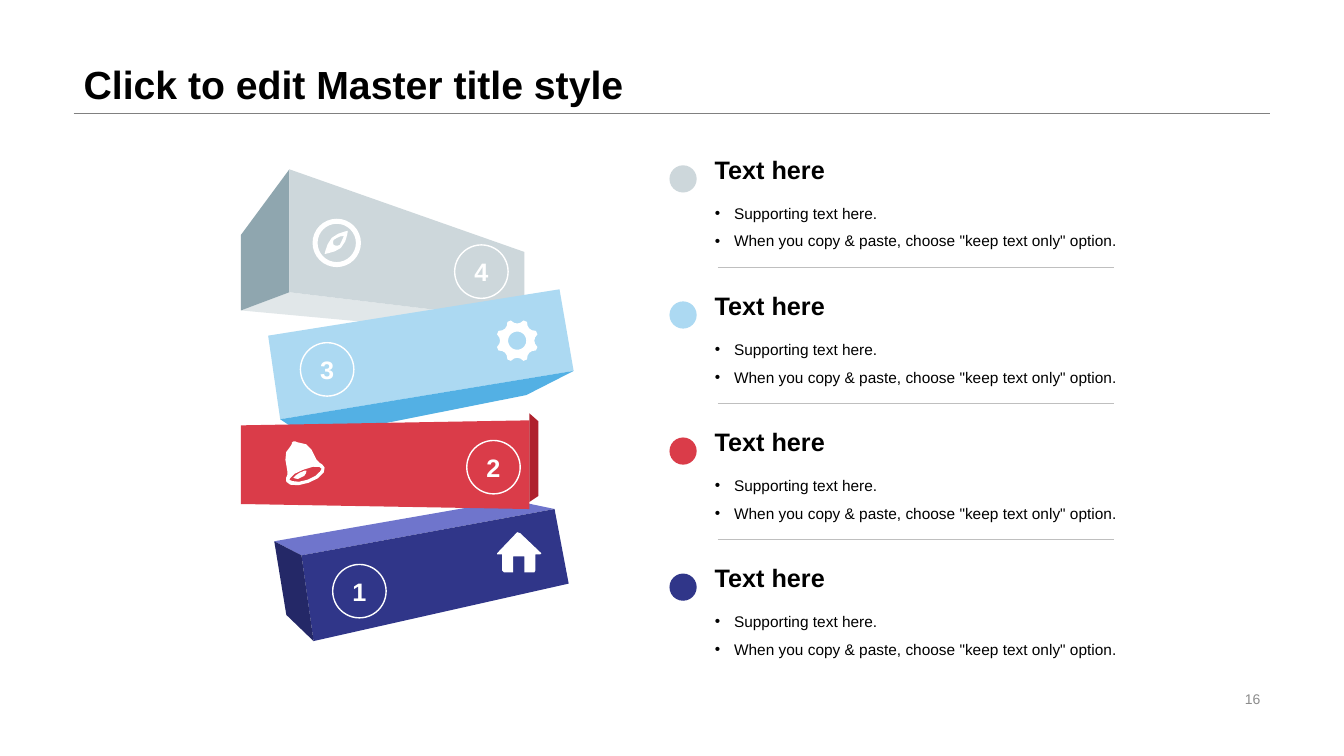
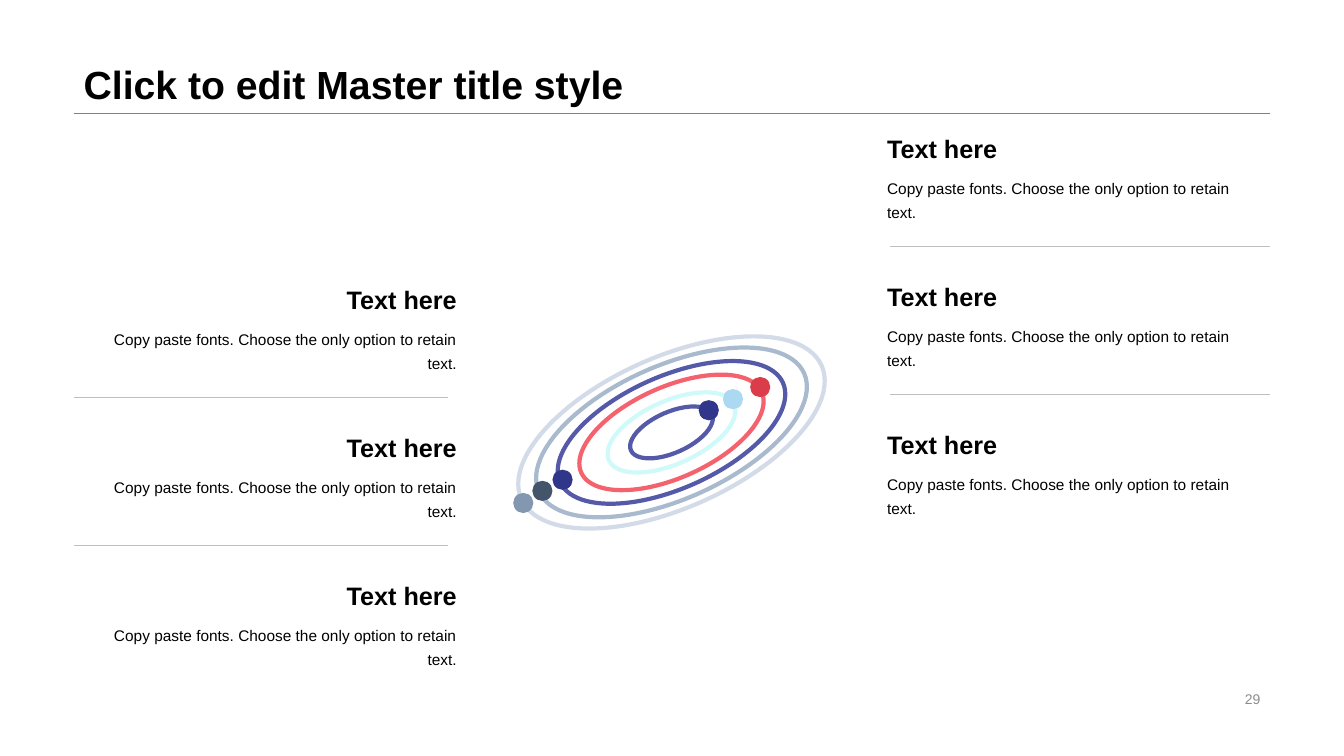
import math
from dataclasses import dataclass

import pptx
import pptx.dml.color
import pptx.enum.shapes
import pptx.enum.text
import pptx.oxml.ns
import pptx.util
from lxml import etree

PX = 9144  # EMU in one px: 100 px to the inch
FONT = "Arial"
BLACK, WHITE = "000000", "FFFFFF"
GREY, RULE, TITLE_RULE = "8C8C8C", "BFBFBF", "808080"
SILVER, SKY, RED, NAVY = "CDD7DB", "ACD9F2", "DA3C49", "303689"
SLATE, STEEL = "44546A", "8497B0"
LEFT_EDGE, RIGHT_EDGE, TITLE_BOTTOM = 73, 1260, 112

ALIGN = pptx.enum.text.PP_ALIGN
ANCHOR = pptx.enum.text.MSO_ANCHOR
Points = list[tuple[float, float]]


@dataclass(frozen=True)
class Face:
    color: str
    points: Points


@dataclass(frozen=True)
class Badge:
    label: str
    x: int
    y: int


@dataclass(frozen=True)
class Dot:
    color: str
    x: int
    y: int


@dataclass(frozen=True)
class Ring:
    color: str
    radius: int


@dataclass(frozen=True)
class Column:
    x: int
    y: int
    rule_from: int
    rule_to: int
    align: ALIGN


# Stacked blocks, back to front
FACES = [
    Face("E1E7E9", [(239, 308), (287, 290), (520, 318), (477, 330)]),
    Face("8FA6AF", [(287, 290), (287, 168), (239, 233), (239, 308)]),
    Face(SILVER, [(287, 168), (520, 250), (520, 318), (287, 290)]),
    Face("6F75CC", [(550, 505), (299, 551), (272, 537), (507, 496)]),
    Face(NAVY, [(299, 551), (311, 636), (564, 579), (550, 505)]),
    Face("242867", [(272, 537), (299, 551), (311, 636), (284, 610)]),
    Face(SKY, [(555, 287), (266, 333), (278, 416), (569, 368)]),
    Face("53B0E4", [(569, 368), (278, 416), (306, 435), (522, 392)]),
    Face(RED, [(239, 422), (525, 417), (525, 505), (239, 500)]),
    Face("AF212D", [(525, 410), (534, 418), (534, 492), (525, 498)]),
]
BADGES = [Badge("4", 451, 243), Badge("3", 298, 340),
          Badge("2", 463, 437), Badge("1", 330, 560)]

# Icon outlines: a start point followed by cubic control points
NEEDLE = [(322, 252), (322, 252), (334, 250), (338, 246), (344, 241), (345, 229),
          (345, 229), (345, 229), (334, 231), (329, 236), (324, 241), (322, 252),
          (322, 252)]
NEEDLE_HOLE = [(331, 238), (334, 236), (337, 234), (341, 234), (340, 237),
               (338, 241), (337, 243), (335, 244), (333, 244), (331, 243),
               (330, 241), (330, 240), (331, 238)]
BELL = [(314, 456), (309, 444), (305, 439), (296, 439), (293, 439), (294, 437),
        (291, 438), (288, 439), (291, 440), (288, 443), (282, 448), (282, 454),
        (285, 467), (287, 472), (282, 473), (284, 478), (285, 482), (296, 483),
        (306, 479), (317, 476), (324, 467), (322, 464), (320, 459), (317, 461),
        (314, 456)]
BELL_MOUTH = [(305, 476), (296, 480), (288, 477), (287, 476), (287, 476),
              (290, 469), (301, 466), (312, 461), (319, 463), (319, 465),
              (319, 466), (315, 473), (305, 476)]
CLAPPER = [(302, 467), (296, 469), (294, 471), (291, 474), (293, 475), (296, 476),
           (298, 474), (303, 473), (304, 469), (304, 467)]
HOUSE = [(537, 549), (516, 529), (513, 528), (493, 549), (493, 550), (498, 550),
         (498, 566), (500, 568), (509, 568), (509, 552), (520, 552), (520, 568),
         (530, 568), (531, 566), (531, 550), (536, 550)]
GEAR_TOOTH = [(0, 17), (10, 18), (17.5, 21), (27.5, 21), (35, 18)]  # degrees, radius

# Tilted orbits
ORBIT_X, ORBIT_Y, ORBIT_TILT, ORBIT_SQUASH = 666, 429, -24, 0.46
RINGS = [Ring("D3DBE9", 163), Ring("D0FAFA", 68), Ring("F4626D", 98),
         Ring("5459A8", 121), Ring("A9BACF", 144), Ring("5459A8", 44)]
ORBIT_DOTS = [Dot(SKY, 717, 386), Dot(RED, 744, 374), Dot(SLATE, 528, 477),
              Dot(STEEL, 509, 489), Dot(NAVY, 693, 397), Dot(NAVY, 548, 466)]
COLUMNS = [Column(870, 125, 883, RIGHT_EDGE, ALIGN.LEFT),
           Column(LEFT_EDGE, 275, LEFT_EDGE, 444, ALIGN.RIGHT)]


def px(value: float) -> int:
    return round(value * PX)


def rgb(color: str) -> pptx.dml.color.RGBColor:
    return pptx.dml.color.RGBColor.from_string(color)


# Geometry
def circle(cx: int, cy: int, radius: int, steps: int = 32) -> Points:
    turns = [math.tau * step / steps for step in range(steps)]
    return [(cx + radius * math.cos(t), cy + radius * math.sin(t)) for t in turns]


def curve(controls: Points, steps: int = 3) -> Points:
    points = [controls[0]]
    for i in range(0, len(controls) - 1, 3):
        for step in range(1, steps + 1):
            t = step / steps
            weights = ((1 - t) ** 3, 3 * t * (1 - t) ** 2, 3 * t * t * (1 - t), t ** 3)
            points.append(tuple(sum(w * c[axis] for w, c in zip(weights, controls[i:i + 4]))
                                for axis in (0, 1)))
    return points


def gear(cx: int, cy: int) -> Points:
    return [(cx + r * math.cos(math.radians(turn + deg)),
             cy + r * math.sin(math.radians(turn + deg)))
            for turn in range(0, 360, 45) for deg, r in GEAR_TOOTH]


# Drawing
def add_outline(s, color: str, *contours: Points) -> None:
    builder = None
    for contour in contours:
        pts = [(px(x), px(y)) for x, y in contour]
        if builder is None:
            builder = s.shapes.build_freeform(*pts[0], scale=1.0)
        else:
            builder.move_to(*pts[0])
        builder.add_line_segments(pts[1:], close=True)
    sp = builder.convert_to_shape()
    sp.shadow.inherit = False
    sp.fill.solid()
    sp.fill.fore_color.rgb = rgb(color)
    sp.line.fill.background()


def add_oval(s, x: float, y: float, w: float, h: float):
    sp = s.shapes.add_shape(pptx.enum.shapes.MSO_SHAPE.OVAL, px(x), px(y), px(w), px(h))
    sp.shadow.inherit = False
    return sp


def add_dot(s, dot: Dot, size: int) -> None:
    sp = add_oval(s, dot.x, dot.y, size, size)
    sp.fill.solid()
    sp.fill.fore_color.rgb = rgb(dot.color)
    sp.line.fill.background()


def add_hollow(s, x: float, y: float, w: float, h: float, color: str, weight: float):
    sp = add_oval(s, x, y, w, h)
    sp.fill.background()
    sp.line.color.rgb = rgb(color)
    sp.line.width = pptx.util.Pt(weight)
    return sp


def add_badge(s, badge: Badge) -> None:
    sp = add_hollow(s, badge.x, badge.y, 53, 53, WHITE, 1)
    write(sp, [badge.label], 18, WHITE, bold=True, align=ALIGN.CENTER, anchor=ANCHOR.MIDDLE)
    sp.text_frame.word_wrap = False


def add_ring(s, ring: Ring) -> None:
    half = ring.radius * ORBIT_SQUASH
    sp = add_hollow(s, ORBIT_X - ring.radius, ORBIT_Y - half, 2 * ring.radius, 2 * half,
                    ring.color, 3)
    sp.rotation = ORBIT_TILT


def add_rule(s, x1: int, x2: int, y: int, color: str = RULE) -> None:
    line = s.shapes.add_connector(pptx.enum.shapes.MSO_CONNECTOR.STRAIGHT,
                                  px(x1), px(y), px(x2), px(y))
    line.line.color.rgb = rgb(color)
    line.line.width = pptx.util.Pt(0.25)
    etree.SubElement(line._element.spPr, pptx.oxml.ns.qn("a:effectLst"))


def add_bullet(p) -> None:
    pPr = p._p.get_or_add_pPr()
    pPr.set("marL", str(px(19)))
    pPr.set("indent", str(px(-19)))
    etree.SubElement(pPr, pptx.oxml.ns.qn("a:buFont"), typeface=FONT)
    etree.SubElement(pPr, pptx.oxml.ns.qn("a:buChar"), char="•")


def write(sp, lines: list[str], size: int, color: str = BLACK, bold: bool = False,
          align: ALIGN = ALIGN.LEFT, anchor: ANCHOR = ANCHOR.TOP,
          spacing: float = 1.0, bullets: bool = False) -> None:
    tf = sp.text_frame
    tf.word_wrap = True
    tf.auto_size = pptx.enum.text.MSO_AUTO_SIZE.NONE
    tf.vertical_anchor = anchor
    for i, line in enumerate(lines):
        p = tf.add_paragraph() if i else tf.paragraphs[0]
        if bullets:
            add_bullet(p)
        p.alignment = align
        p.line_spacing = spacing
        p.space_before = pptx.util.Pt(0)
        r = p.add_run()
        r.text = line
        r.font.name = FONT
        r.font.size = pptx.util.Pt(size)
        r.font.bold = bold
        r.font.color.rgb = rgb(color)


def place(sp, x: int, y: int, w: int, h: int) -> None:
    sp.left, sp.top, sp.width, sp.height = px(x), px(y), px(w), px(h)


def add_text(s, x: int, y: int, w: int, h: int, text: str, size: int, **style) -> None:
    write(s.shapes.add_textbox(px(x), px(y), px(w), px(h)), [text], size, **style)


def add_heading(s, x: int, y: int, w: int, h: int, align: ALIGN = ALIGN.LEFT) -> None:
    add_text(s, x, y, w, h, "Text here", 18, bold=True, align=align, anchor=ANCHOR.BOTTOM)


def start_slide(prs, layout: int, number: str):
    s = prs.slides.add_slide(prs.slide_layouts[layout])
    add_rule(s, LEFT_EDGE, RIGHT_EDGE, TITLE_BOTTOM, TITLE_RULE)
    place(s.shapes.title, LEFT_EDGE, 0, RIGHT_EDGE - LEFT_EDGE, TITLE_BOTTOM)
    write(s.shapes.title, ["Click to edit Master title style"], 28, bold=True,
          anchor=ANCHOR.BOTTOM, spacing=0.9)
    add_text(s, 942, 682, 318, 23, number, 10, color=GREY, align=ALIGN.RIGHT,
             anchor=ANCHOR.MIDDLE)
    return s


# Slides
def stack_slide(prs) -> None:
    s = start_slide(prs, 4, "16")
    for face in FACES:
        add_outline(s, face.color, face.points)
    for badge in BADGES:
        add_badge(s, badge)
    add_outline(s, WHITE, circle(334, 241, 24), circle(334, 241, 19),
                curve(NEEDLE), curve(NEEDLE_HOLE))
    add_outline(s, WHITE, gear(513, 338), circle(513, 338, 9))
    add_outline(s, WHITE, curve(BELL), curve(BELL_MOUTH), curve(CLAPPER))
    add_outline(s, WHITE, HOUSE)

    bodies = [sp for sp in s.placeholders if sp.placeholder_format.idx > 0]
    for i, (body, color) in enumerate(zip(bodies, (SILVER, SKY, RED, NAVY))):
        top = 145 + 135 * i
        add_dot(s, Dot(color, 664, top + 19), 27)
        add_heading(s, 699, top, 421, 43)
        place(body, 699, top + 43, 421, 63)
        write(body, ["Supporting text here.",
                     'When you copy & paste, choose "keep text only" option.'],
              11, spacing=1.5, bullets=True)
        if i < 3:
            add_rule(s, 712, 1105, top + 120)


def orbit_slide(prs) -> None:
    s = start_slide(prs, 5, "29")
    for ring in RINGS:
        add_ring(s, ring)
    for dot in ORBIT_DOTS:
        add_dot(s, dot, 20)
    for column in COLUMNS:
        for i in range(3):
            top = column.y + 147 * i
            add_heading(s, column.x, top, 390, 42, column.align)
            add_text(s, column.x, top + 42, 390, 61,
                     "Copy paste fonts. Choose the only option to retain text.", 11,
                     align=column.align, spacing=1.3)
            if i < 2:
                add_rule(s, column.rule_from, column.rule_to, top + 119)


def main() -> None:
    prs = pptx.Presentation()
    prs.slide_width, prs.slide_height = px(1333), px(750)
    stack_slide(prs)
    orbit_slide(prs)
    prs.save("out.pptx")


if __name__ == "__main__":
    main()
